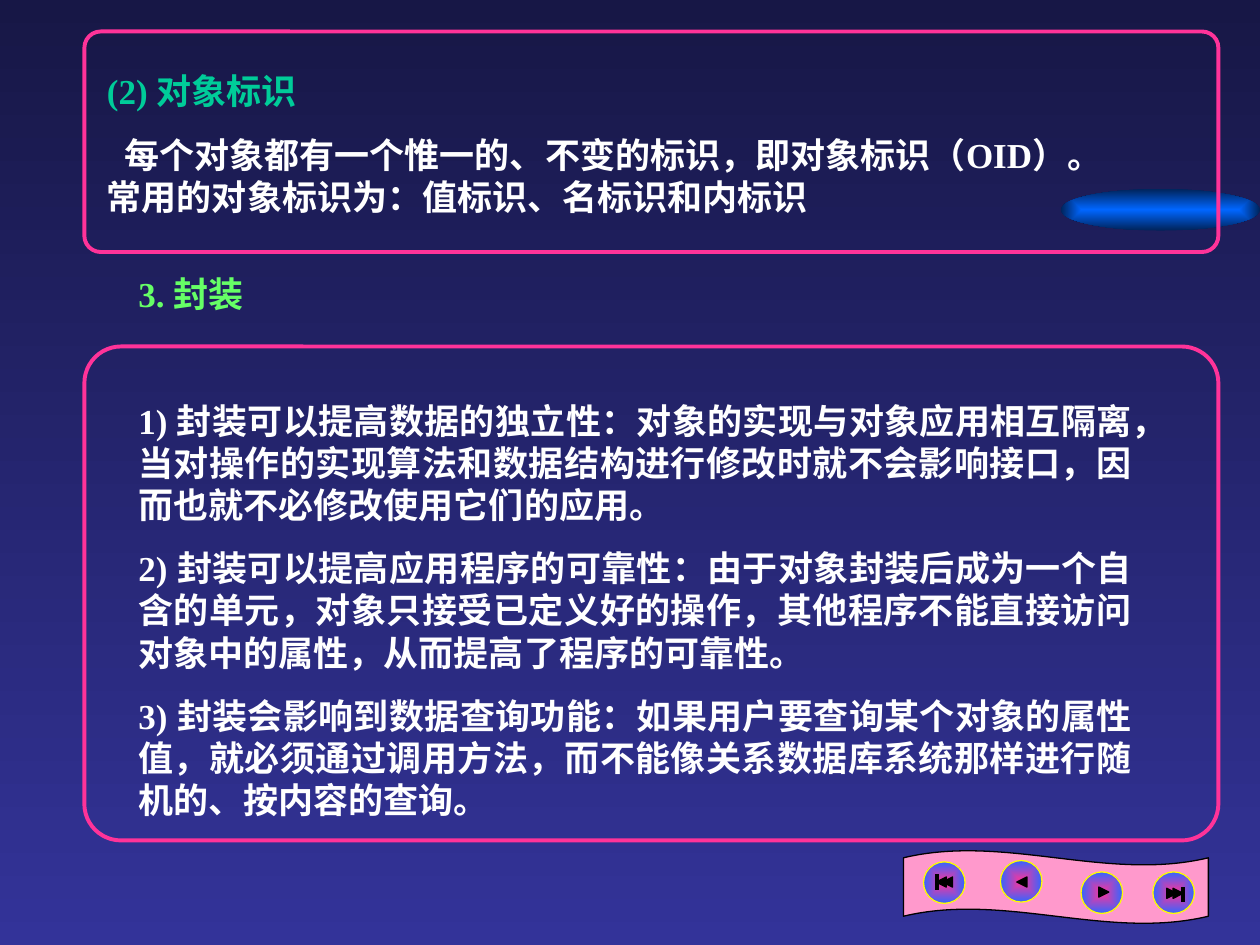
from lxml import etree
from pptx import Presentation
from pptx.dml.color import RGBColor as RGB
from pptx.enum.shapes import MSO_CONNECTOR as Link, MSO_SHAPE as Kind
from pptx.enum.text import PP_ALIGN as Align
from pptx.oxml.ns import qn
from pptx.util import Inches, Pt

NIGHT = RGB(0x17, 0x17, 0x46)
INDIGO = RGB(0x33, 0x33, 0x99)
BLUE = RGB(0x00, 0x66, 0xFF)
NAVY = RGB(0x00, 0x24, 0x5B)
SKY = RGB(0x33, 0x66, 0xFF)
PINK = RGB(0xFF, 0x33, 0x99)
ROSE = RGB(0xFF, 0x99, 0xCC)
YELLOW = RGB(0xFF, 0xFF, 0x00)
GREEN = RGB(0x66, 0xFF, 0x66)
TEAL = RGB(0x00, 0xCC, 0x99)
WHITE = RGB(0xFF, 0xFF, 0xFF)
BLACK = RGB(0x00, 0x00, 0x00)

RULE, THIN = 2.25, 0.75
DISC, TIP = 0.33, 0.08

POINTS = [
    "1) 封装可以提高数据的独立性：对象的实现与对象应用相互隔离，当对操作的实现算法和数据结构进行修改时就不会影响接口，因而也就不必修改使用它们的应用。",
    "2) 封装可以提高应用程序的可靠性：由于对象封装后成为一个自含的单元，对象只接受已定义好的操作，其他程序不能直接访问对象中的属性，从而提高了程序的可靠性。",
    "3) 封装会影响到数据查询功能：如果用户要查询某个对象的属性值，就必须通过调用方法，而不能像关系数据库系统那样进行随机的、按内容的查询。",
]
OID = "每个对象都有一个惟一的、不变的标识，即对象标识（OID）。常用的对象标识为：值标识、名标识和内标识"


def blend(fill, start, end):
    fill.gradient()
    for stop, color in zip(fill.gradient_stops, (start, end)):
        stop.color.rgb = color


class Deck:
    font, size, gap = "Times New Roman", Pt(20), Pt(12.5)

    def __init__(self, slide):
        self.slide = slide
        self.shapes = slide.shapes

    def back(self, top, base):
        fill = self.slide.background.fill
        blend(fill, top, base)
        fill.gradient_angle = 270

    def group(self):
        """Send the shapes that follow into a new group."""
        self.shapes = self.slide.shapes.add_group_shape().shapes

    def shape(self, kind, x, y, w, h, fill=None, line=None, width=THIN):
        item = self.shapes.add_shape(kind, *map(Inches, (x, y, w, h)))
        item.shadow.inherit = False
        if fill is None:
            item.fill.background()
        else:
            item.fill.solid()
            item.fill.fore_color.rgb = fill
        if line is None:
            item.line.fill.background()
        else:
            item.line.color.rgb = line
            item.line.width = Pt(width)
        return item

    def frame(self, y, h):
        item = self.shape(Kind.ROUNDED_RECTANGLE, 0.67, y, 9, h,
                          line=PINK, width=RULE)
        item.adjustments[0] = 0.074

    def glow(self, x, y, w, h, core, rim, line=None):
        """Ellipse shaded from its centre outwards."""
        item = self.shape(Kind.OVAL, x, y, w, h, line=line)
        blend(item.fill, core, rim)
        lin = item.element.spPr.find(".//" + qn("a:lin"))
        ray = etree.Element(qn("a:path"), path="rect")
        etree.SubElement(ray, qn("a:fillToRect"),
                         l="50000", t="50000", r="50000", b="50000")
        lin.getparent().replace(lin, ray)

    def tip(self, x, y, turn):
        item = self.shape(Kind.ISOSCELES_TRIANGLE, x, y, TIP, TIP, BLACK, BLACK)
        item.rotation = turn

    def bar(self, x, y, h):
        item = self.shapes.add_connector(
            Link.STRAIGHT, *map(Inches, (x, y, x, y + h)))
        item.line.color.rgb = BLACK
        item.line.width = Pt(RULE)
        etree.SubElement(item.element.spPr, qn("a:effectLst"))

    def text(self, x, y, w, h, paras, align=Align.LEFT, top=0.05, base=0.05):
        box = self.shapes.add_textbox(*map(Inches, (x, y, w, h)))
        frame = box.text_frame
        frame.word_wrap = True
        frame.margin_top, frame.margin_bottom = Inches(top), Inches(base)
        for i, (words, color) in enumerate(paras):
            para = frame.paragraphs[0] if i == 0 else frame.add_paragraph()
            para.text = words
            para.alignment = align
            para.space_before = self.gap
            font = para.font
            font.name, font.size, font.bold = self.font, self.size, True
            font.color.rgb = color
        return frame.paragraphs


def main():
    prs = Presentation()
    prs.slide_width, prs.slide_height = Inches(10), Inches(7.5)
    deck = Deck(prs.slides.add_slide(prs.slide_layouts[6]))
    deck.back(NIGHT, INDIGO)

    paras = deck.text(1, 2.08, 8.08, 4.45,
                      [("3. 封装", GREEN)] + [(p, WHITE) for p in POINTS],
                      Align.JUSTIFY, top=0.08, base=0)
    paras[1].space_before = Pt(48.5)
    deck.frame(2.75, 3.92)

    deck.glow(8.42, 1.5, 1.58, 0.33, BLUE, NAVY)
    paras = deck.text(0.75, 0.5, 8.17, 1.28,
                      [("(2) 对象标识", TEAL), (OID, WHITE)])
    paras[1]._p.get_or_add_pPr().set("indent", str(Pt(10)))
    deck.frame(0.25, 1.75)

    deck.group()
    wave = deck.shape(Kind.WAVE, 7.17, 6.75, 2.42, 0.58, ROSE, BLACK)
    wave.adjustments[0] = 0.1
    for x, y in ((7.33, 6.84), (7.94, 6.83), (8.58, 6.92), (9.15, 6.92)):
        deck.glow(x, y, DISC, DISC, PINK, SKY, YELLOW)
    deck.bar(7.44, 6.94, 0.12)
    for x in (7.43, 7.48, 8.07):
        deck.tip(x, 6.96, 270)
    for x, y in ((8.72, 7.04), (9.26, 7.05), (9.31, 7.05)):
        deck.tip(x, y, 90)
    deck.bar(9.39, 7.04, 0.12)

    prs.save("out.pptx")


if __name__ == "__main__":
    main()
